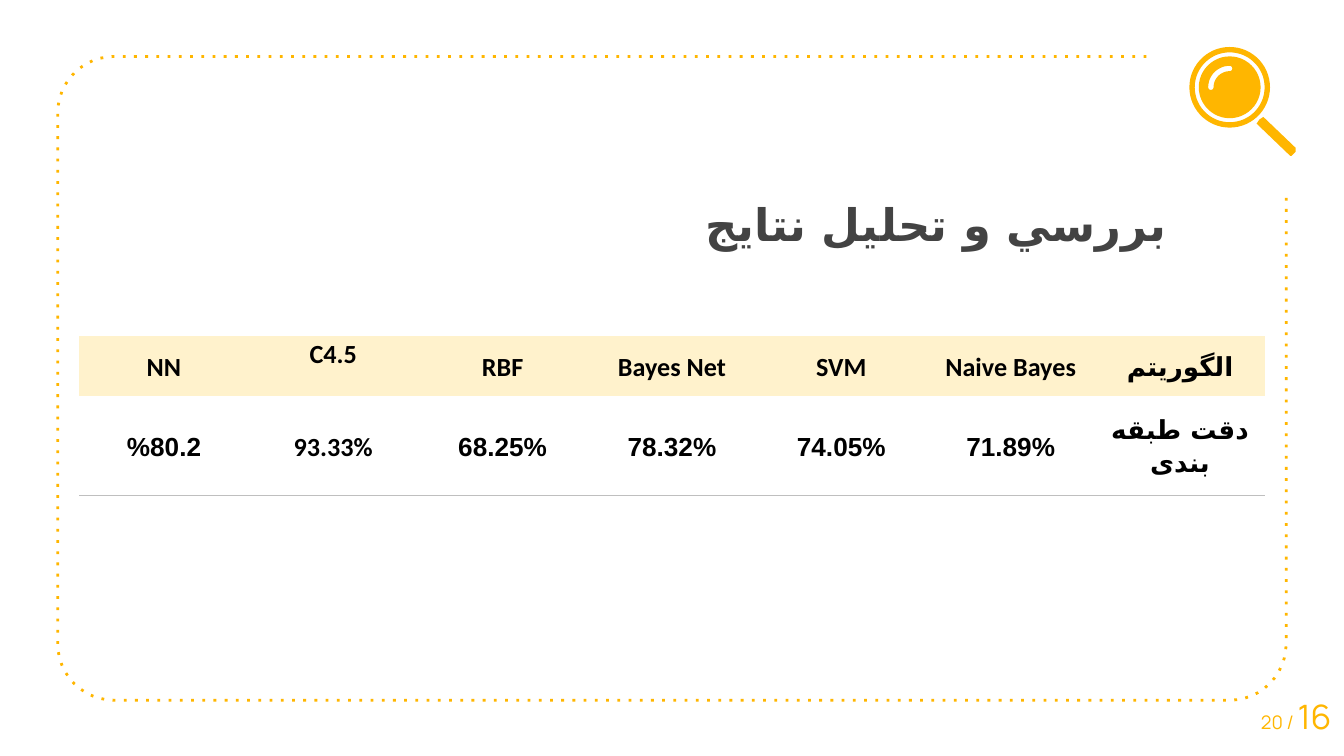
from dataclasses import dataclass
from math import cos, radians, sin

from lxml import etree
from pptx import Presentation
from pptx.dml import color
from pptx.enum import text
from pptx.oxml import ns
from pptx.util import Inches, Pt

Point = tuple[float, float]
AMBER, CREAM, BLACK, GRAY = "FFB600", "FFF2CC", "000000", "BFBFBF"
NO_STYLE = "{2D5ABB26-0587-4C30-8999-92F81FD0307C}"
PERSIAN_FONT, DIGIT_FONT = "DejaVu Sans", "Arial"
COLUMN_LEFT, COLUMN_TOP, COLUMN_WIDTH = 0.59, 2.5, 1.26
ROW_HEIGHTS = (0.45, 0.74)


@dataclass
class Result:
    algorithm: str
    accuracy: str
    rtl: bool = True
    header_anchor: text.MSO_ANCHOR = text.MSO_ANCHOR.MIDDLE


RESULTS = [
    Result("NN", "%80.2"),
    Result("C4.5", "93.33%", rtl=False, header_anchor=text.MSO_ANCHOR.TOP),
    Result("RBF", "68.25%"),
    Result("Bayes Net", "78.32%"),
    Result("SVM", "74.05%"),
    Result("Naive Bayes", "71.89%"),
    Result("الگوریتم", "دقت طبقه بندی", rtl=False),
]


def rgb(value: str) -> color.RGBColor:
    return color.RGBColor.from_string(value)


def add_child(parent, tag: str, **attributes: str):
    child = etree.SubElement(parent, ns.qn(tag))
    for key, value in attributes.items():
        child.set(key, value)
    return child


def add_run(paragraph, words: str, size: float, font: str, hue: str, bold: bool = False):
    run = paragraph.add_run()
    run.text = words
    run.font.size = Pt(size)
    run.font.name = font
    run.font.bold = bold
    run.font.color.rgb = rgb(hue)
    return run


def arc(center: Point, radius: float, start: float, end: float, steps: int = 12) -> list[Point]:
    angles = [radians(start + (end - start) * i / steps) for i in range(steps + 1)]
    return [(center[0] + radius * cos(a), center[1] + radius * sin(a)) for a in angles]


def draw_outline(shapes, contours: list[list[Point]], closed: bool = True):
    first, *others = [[(Inches(x), Inches(y)) for x, y in contour] for contour in contours]
    builder = shapes.build_freeform(*first[0])
    builder.add_line_segments(first[1:], close=closed)
    for contour in others:
        builder.move_to(*contour[0])
        builder.add_line_segments(contour[1:], close=closed)
    outline = builder.convert_to_shape()
    outline.shadow.inherit = False
    return outline


def draw_frame(shapes) -> None:
    radius, left, right, top, bottom = 0.42, 0.85, 9.15, 0.84, 4.79
    route = [(8.53, 0.42)]
    route += arc((left, top), radius, 270, 180)
    route += arc((left, bottom), radius, 180, 90)
    route += arc((right, bottom), radius, 90, 0)
    route += [(9.57, 1.46)]
    frame = draw_outline(shapes, [route], closed=False)
    frame.fill.background()
    frame.line.color.rgb = rgb(AMBER)
    frame.line.width = Pt(1.5)
    add_child(frame.line._ln, "a:prstDash", val="dot")


def draw_magnifier(shapes) -> None:
    center = (9.15, 0.65)
    rim = [arc(center, 0.3, 0, 360, 60), arc(center, 0.26, 360, 0, 60)]
    glint = arc(center, 0.16, 180, 270)
    glint += arc((9.15, 0.51), 0.02, -90, 90, 6)
    glint += arc(center, 0.12, 270, 180)
    glint += arc((9.01, 0.65), 0.02, 0, 180, 6)
    lens = [arc(center, 0.23, 360, 0, 48), glint]
    handle = [[(9.4, 0.87), (9.37, 0.89), (9.35, 0.92), (9.59, 1.15), (9.6, 1.16),
               (9.61, 1.16), (9.64, 1.13), (9.64, 1.1)]]
    magnifier = shapes.add_group_shape()
    for contours in (rim, lens, handle):
        part = draw_outline(magnifier.shapes, contours)
        part.fill.solid()
        part.fill.fore_color.rgb = rgb(AMBER)
        part.line.fill.background()


def write_cell(cell, words: str, rtl: bool = False) -> None:
    cell.margin_left = cell.margin_right = Inches(0.07)
    cell.margin_top = cell.margin_bottom = 0
    cell.vertical_anchor = text.MSO_ANCHOR.MIDDLE
    paragraph = cell.text_frame.paragraphs[0]
    paragraph.alignment = text.PP_ALIGN.CENTER
    paragraph.line_spacing = 1.07
    if rtl:
        paragraph._p.get_or_add_pPr().set("rtl", "1")
    run = add_run(paragraph, words, 14, "Calibri", BLACK, bold=True)
    add_child(run.font._element, "a:cs", typeface=DIGIT_FONT if rtl else PERSIAN_FONT)


def draw_result(shapes, result: Result, left: float) -> None:
    column = shapes.add_table(2, 1, Inches(left), Inches(COLUMN_TOP),
                              Inches(COLUMN_WIDTH), Inches(sum(ROW_HEIGHTS))).table
    column.first_row = column.horz_banding = False
    column._tbl.tblPr.find(ns.qn("a:tableStyleId")).text = NO_STYLE
    for row, height in zip(column.rows, ROW_HEIGHTS):
        row.height = Inches(height)
    header, value = column.cell(0, 0), column.cell(1, 0)
    write_cell(header, result.algorithm)
    header.vertical_anchor = result.header_anchor
    header.fill.solid()
    header.fill.fore_color.rgb = rgb(CREAM)
    write_cell(value, result.accuracy, result.rtl)
    border = add_child(value._tc.get_or_add_tcPr(), "a:lnB", w=str(Pt(0.75)))
    add_child(add_child(border, "a:solidFill"), "a:srgbClr", val=GRAY)
    value.fill.background()


def write_title(title) -> None:
    title.left, title.top = Inches(1.27), Inches(1.36)
    title.width, title.height = Inches(7.51), Inches(0.94)
    frame = title.text_frame
    frame.margin_left = frame.margin_right = Inches(0.1)
    frame.margin_top = frame.margin_bottom = Inches(0.1)
    frame.vertical_anchor = text.MSO_ANCHOR.TOP
    frame.word_wrap = True
    heading = frame.paragraphs[0]
    heading.alignment = text.PP_ALIGN.RIGHT
    heading._p.get_or_add_pPr().set("rtl", "1")
    run = add_run(heading, "بررسي و تحليل نتايج", 24, "Lato", "434343", bold=True)
    add_child(run.font._element, "a:cs", typeface=PERSIAN_FONT)


def write_page_number(shapes) -> None:
    counter = shapes.add_textbox(Inches(9.26), Inches(5.13), Inches(0.77), Inches(0.4))
    counter.text_frame.word_wrap = True
    counter.text_frame.auto_size = text.MSO_AUTO_SIZE.SHAPE_TO_FIT_TEXT
    paragraph = counter.text_frame.paragraphs[0]
    paragraph.alignment = text.PP_ALIGN.CENTER
    for words, size in (("20 / ", 10), ("16", 18)):
        add_run(paragraph, words, size, "Manrope", AMBER)


def main() -> None:
    deck = Presentation()
    deck.slide_width = Inches(10)
    deck.slide_height = Inches(10 * 9 / 16)
    slide = deck.slides.add_slide(deck.slide_layouts[5])
    draw_frame(slide.shapes)
    write_title(slide.shapes.title)
    draw_magnifier(slide.shapes)
    for index, result in enumerate(RESULTS):
        draw_result(slide.shapes, result, COLUMN_LEFT + index * COLUMN_WIDTH)
    write_page_number(slide.shapes)
    deck.save("out.pptx")


if __name__ == "__main__":
    main()
